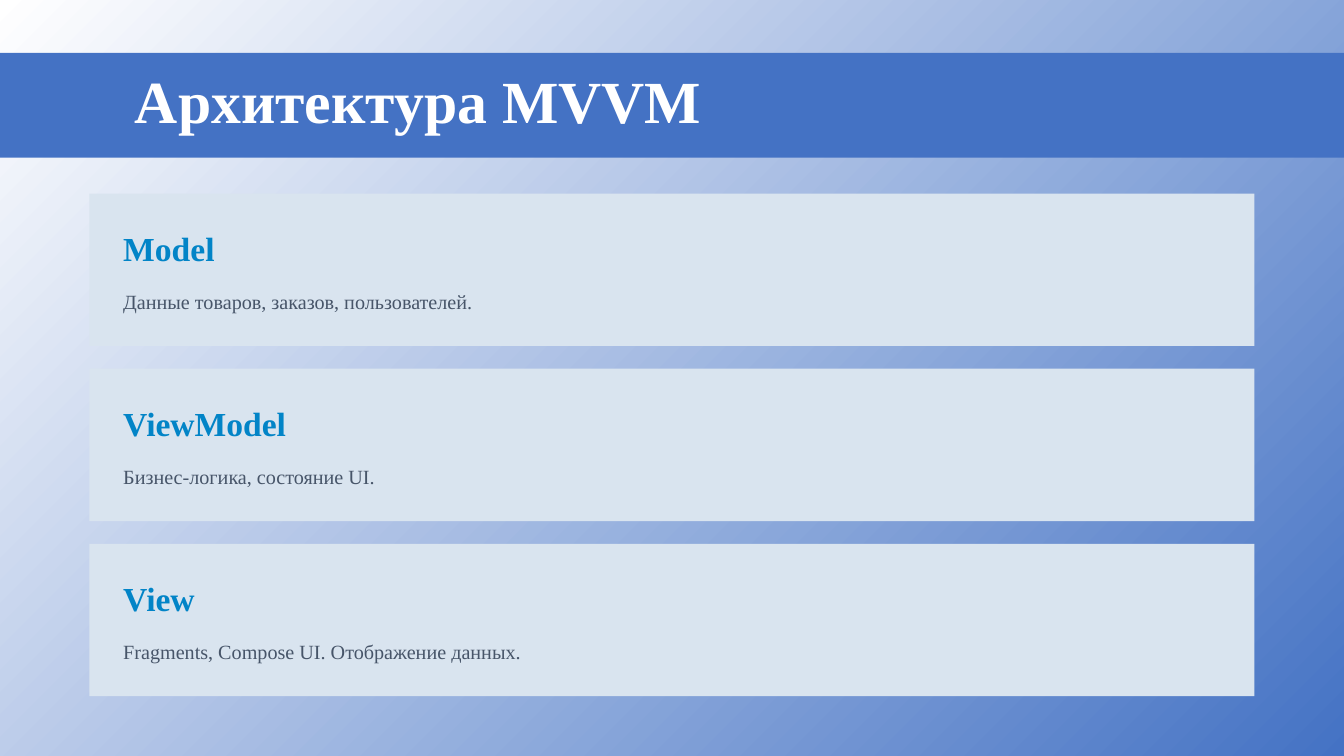
from pptx import Presentation
from pptx import util as u
from pptx.dml.color import RGBColor
from pptx.enum import shapes, text

FONT = "Times New Roman"
BLUE = "4472C4"


def color(value):
    return RGBColor.from_string(value)


def write(box, words, size, spacing, hue, bold=False):
    frame = box.text_frame
    frame.word_wrap = True
    frame.margin_left = frame.margin_right = 0
    frame.margin_top = frame.margin_bottom = 0
    para = frame.paragraphs[0]
    para.text = words
    para.alignment = text.PP_ALIGN.LEFT
    para.line_spacing = u.Pt(spacing)
    font = para.runs[0].font
    font.name, font.size, font.bold = FONT, u.Pt(size), bold
    font.color.rgb = color(hue)


deck = Presentation()
deck.slide_width, deck.slide_height = u.Cm(25.4), u.Cm(14.29)
page = deck.slides.add_slide(deck.slide_layouts[6])

# Diagonal background, white at top left to blue at bottom right
backdrop = page.background.fill
backdrop.gradient()
backdrop.gradient_angle = 315
for stop, position, hue in zip(backdrop.gradient_stops, (0, 1), ("FFFFFF", BLUE)):
    stop.position = position
    stop.color.rgb = color(hue)

# One card per layer of the architecture
layers = [
    ("Model", "Данные товаров, заказов, пользователей."),
    ("ViewModel", "Бизнес-логика, состояние UI."),
    ("View", "Fragments, Compose UI. Отображение данных."),
]
for index, (name, role) in enumerate(layers):
    top = 3.66 + index * 3.31
    card = page.shapes.add_shape(shapes.MSO_SHAPE.RECTANGLE,
                                 u.Cm(1.69), u.Cm(top), u.Cm(22.02), u.Cm(2.88))
    card.shadow.inherit = False
    card.fill.solid()
    card.fill.fore_color.rgb = color("D9E4EF")
    card.line.fill.background()

    heading = page.shapes.add_textbox(u.Cm(2.33), u.Cm(top + 0.64), u.Cm(21.16), u.Cm(0.76))
    write(heading, name, 18, 21.6, "0284C7", bold=True)
    detail = page.shapes.add_textbox(u.Cm(2.33), u.Cm(top + 1.73), u.Cm(21.16), u.Cm(0.53))
    write(detail, role, 10.8, 15.1, "475569")

# Title band across the full width
band = page.shapes.add_shape(shapes.MSO_SHAPE.RECTANGLE,
                             0, u.Cm(1), deck.slide_width, u.Cm(1.98))
band.shadow.inherit = False
band.fill.solid()
band.fill.fore_color.rgb = color(BLUE)
band.line.fill.background()
write(band, "Архитектура MVVM", 32, 32.4, "FFFFFF", bold=True)
band.text_frame.margin_left = u.Cm(2.55)
band.text_frame.vertical_anchor = text.MSO_ANCHOR.MIDDLE

deck.save("out.pptx")
